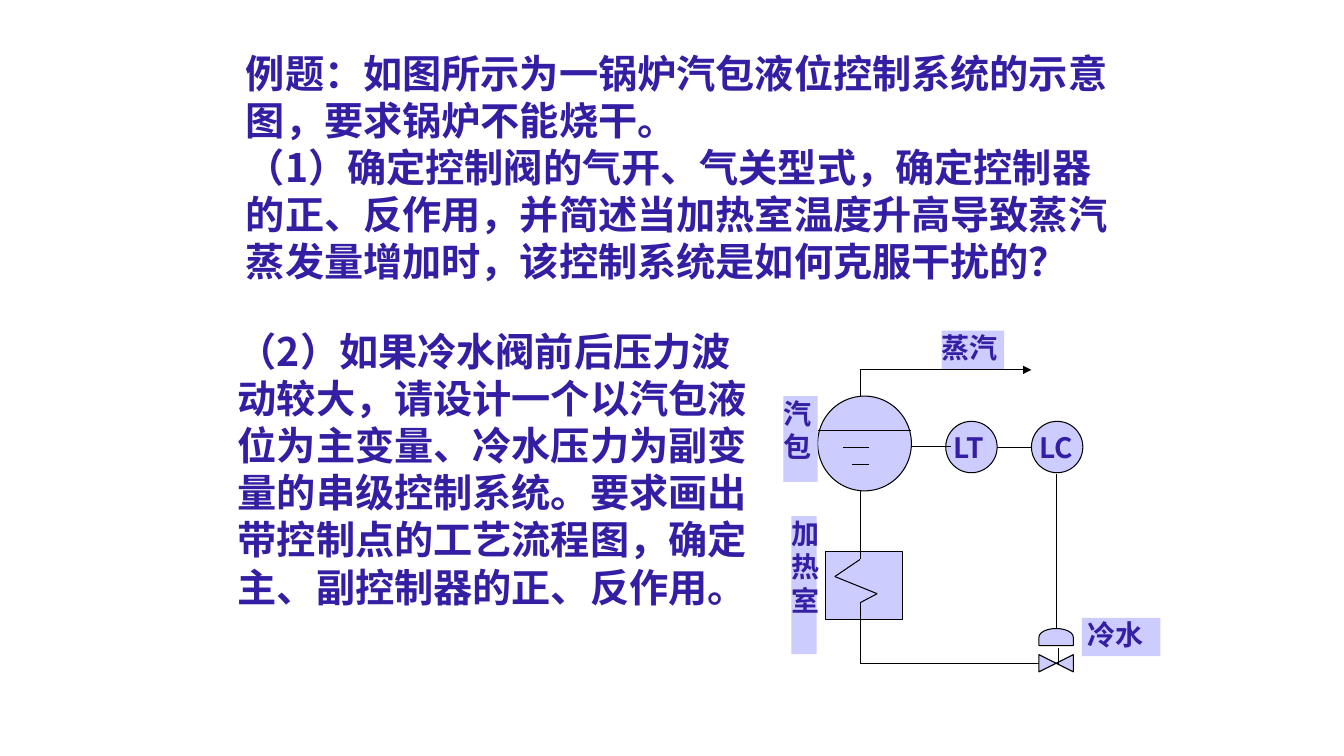
"""Builds a slide with a boiler drum level control exercise and its process diagram."""
from lxml.etree import SubElement
from pptx import Presentation
from pptx.dml.color import RGBColor
from pptx.enum.shapes import MSO_CONNECTOR, MSO_SHAPE as Preset
from pptx.enum.text import MSO_ANCHOR, PP_ALIGN
from pptx.oxml.ns import qn
from pptx.util import Inches, Pt

THEME = {
    "ink": RGBColor(0x34, 0x1E, 0xA4),
    "fill": RGBColor(0xCC, 0xCC, 0xFF),
    "paper": RGBColor(0xFF, 0xFF, 0xFF),
    "line": RGBColor(0, 0, 0),
    "line_width": 0.75,
    "body_size": 28,
    "label_size": 20,
    "font": "Noto Sans CJK SC",
    "label_font": "Times New Roman",
}

QUESTIONS = [
    ((2.34, 0.44, 8.82, 2.44), [
        "例题：如图所示为一锅炉汽包液位控制系统的示意图，要求锅炉不能烧干。",
        "（1）确定控制阀的气开、气关型式，确定控制器的正、反作用，并简述当加热室温度升高导致蒸汽蒸发量增加时，该控制系统是如何克服干扰的？",
    ]),
    ((2.26, 3.2, 5.35, 2.93), [
        "（2）如果冷水阀前后压力波动较大，请设计一个以汽包液位为主变量、冷水压力为副变量的串级控制系统。要求画出带控制点的工艺流程图，确定主、副控制器的正、反作用。",
    ]),
]

EQUIPMENT = [
    (Preset.OVAL, (8.11, 3.93, 0.93, 0.94), 0),
    (Preset.OVAL, (9.38, 4.18, 0.51, 0.51), 0),
    (Preset.OVAL, (10.23, 4.18, 0.51, 0.51), 0),
    (Preset.RECTANGLE, (8.19, 5.47, 0.76, 0.68), 0),
    (Preset.FLOWCHART_COLLATE, (10.39, 6.41, 0.17, 0.34), 270),
    (Preset.FLOWCHART_DELAY, (10.39, 6.15, 0.17, 0.34), 270),
]

LABELS = [
    ("LT", (9.46, 4.27, 0.34, 0.34), "font", 0),
    ("LC", (10.31, 4.27, 0.34, 0.34), "font", 0),
    ("加热室", (7.85, 5.12, 0.25, 1.37), "label_font", 0),
    ("汽包", (7.77, 3.93, 0.34, 0.85), "label_font", 0),
    ("蒸汽", (9.34, 3.28, 0.62, 0.38), "font", 0),
    ("冷水", (10.73, 6.13, 0.78, 0.38), "font", 0.06),
]

STEAM_PIPE = [(8.53, 3.93), (8.53, 3.67), (10.23, 3.67)]
PIPES = [
    [(8.53, 4.87), (8.53, 5.55), (8.28, 5.72), (8.7, 5.89),
     (8.53, 5.98), (8.53, 6.58), (10.31, 6.58)],
    [(8.11, 4.27), (9.04, 4.27)],
    [(8.36, 4.44), (8.62, 4.44)],
    [(8.45, 4.61), (8.62, 4.61)],
    [(9.04, 4.43), (9.43, 4.43)],
    [(9.89, 4.44), (10.23, 4.44)],
    [(10.48, 4.7), (10.48, 6.24)],
    [(10.5, 6.43), (10.5, 6.59)],
]


def add_block(slide, preset, box, fill, outlined=False):
    shape = slide.shapes.add_shape(preset, *map(Inches, box))
    shape.shadow.inherit = False
    shape.fill.solid()
    shape.fill.fore_color.rgb = THEME[fill]
    if outlined:
        shape.line.color.rgb = THEME["line"]
        shape.line.width = Pt(THEME["line_width"])
    else:
        shape.line.fill.background()
    return shape


def write(shape, lines, size, font, align):
    frame = shape.text_frame
    frame.word_wrap = True
    frame.vertical_anchor = MSO_ANCHOR.TOP
    frame.text = "\n".join(lines)
    for paragraph in frame.paragraphs:
        paragraph.alignment = align
        for run in paragraph.runs:
            run.font.size = Pt(THEME[size])
            run.font.bold = True
            run.font.color.rgb = THEME["ink"]
            run.font.name = THEME[font]
            SubElement(run.font._element, qn("a:ea"), typeface=THEME["font"])


def add_pipe(slide, points, arrow=False):
    for start, end in zip(points, points[1:]):
        pipe = slide.shapes.add_connector(
            MSO_CONNECTOR.STRAIGHT, *map(Inches, start + end))
        pipe.line.color.rgb = THEME["line"]
        pipe.line.width = Pt(THEME["line_width"])
        SubElement(pipe._element.spPr, qn("a:effectLst"))
    if arrow:
        SubElement(pipe.line._get_or_add_ln(), qn("a:tailEnd"), type="triangle")


def main():
    presentation = Presentation()
    presentation.slide_width = Inches(13.33)
    presentation.slide_height = Inches(7.5)
    slide = presentation.slides.add_slide(presentation.slide_layouts[6])

    for box, lines in QUESTIONS:
        question = add_block(slide, Preset.RECTANGLE, box, "paper")
        write(question, lines, "body_size", "font", PP_ALIGN.LEFT)

    for preset, box, rotation in EQUIPMENT:
        add_block(slide, preset, box, "fill", outlined=True).rotation = rotation

    for text, box, font, indent in LABELS:
        label = add_block(slide, Preset.RECTANGLE, box, "fill")
        frame = label.text_frame
        frame.margin_left = Inches(indent)
        frame.margin_top = frame.margin_right = frame.margin_bottom = 0
        write(label, [text], "label_size", font, PP_ALIGN.JUSTIFY)

    add_pipe(slide, STEAM_PIPE, arrow=True)
    for points in PIPES:
        add_pipe(slide, points)

    presentation.save("out.pptx")


if __name__ == "__main__":
    main()
